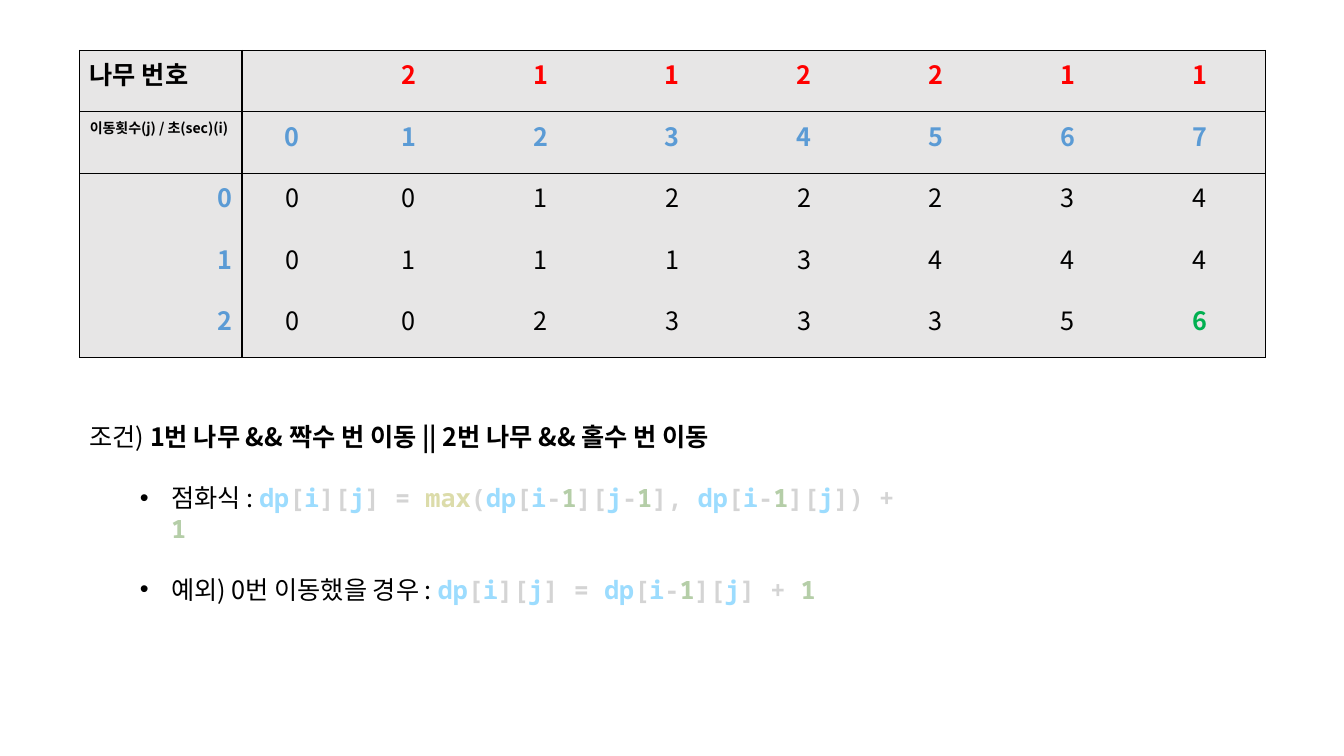
"""Build a slide with a dynamic-programming table and its recurrence rules."""
from itertools import groupby

from lxml.etree import SubElement
from pptx import Presentation
from pptx.dml.color import RGBColor as RGB
from pptx.enum.text import MSO_AUTO_SIZE as AutoSize, PP_ALIGN as Align
from pptx.oxml.ns import qn
from pptx.util import Inches, Pt

TREE_LABEL = "나무 번호"
AXIS_LABEL = "이동횟수(j) / 초(sec)(i)"
TREES = ["", 2, 1, 1, 2, 2, 1, 1]
SECONDS = list(range(8))
PLUMS = [
    [0, 0, 1, 2, 2, 2, 3, 4],
    [0, 1, 1, 1, 3, 4, 4, 4],
    [0, 0, 2, 3, 3, 3, 5, 6],
]
CONDITION = ("조건) ", "1번 나무 && 짝수 번 이동 || 2번 나무 && 홀수 번 이동")
RULES = [
    ("점화식 : ", "dp[i][j] = max(dp[i-1][j-1], dp[i-1][j]) + 1"),
    ("예외) 0번 이동했을 경우 : ", "dp[i][j] = dp[i-1][j] + 1"),
]

BLACK, RED, BLUE = RGB(0, 0, 0), RGB(255, 0, 0), RGB(0x5B, 0x9B, 0xD5)
GREEN, GREY = RGB(0, 0xB0, 0x50), RGB(0xE7, 0xE6, 0xE6)
NAME, FUNCTION = RGB(0x9C, 0xDC, 0xFE), RGB(0xDC, 0xDC, 0xAA)
NUMBER, SYMBOL = RGB(0xB5, 0xCE, 0xA8), RGB(0xD4, 0xD4, 0xD4)
SANS, MONO = "Noto Sans CJK KR", "Noto Sans Mono"

LEFT, TABLE_TOP, TABLE_WIDTH, ROW_HEIGHT = 0.79, 0.5, 11.76, 0.61
LABEL_WIDTH, START_WIDTH = 1.61, 1
RULES_TOP, RULES_WIDTH, RULES_HEIGHT = 4.13, 8.43, 1.92
LINE = Pt(21.8)


def style(run, color=BLACK, bold=False, size=18, face=SANS):
    run.font.size, run.font.bold, run.font.name = Pt(size), bold, face
    run.font.color.rgb = color
    SubElement(run.font._element, qn("a:ea"), typeface=face)


def add_styled(paragraph, text, **look):
    run = paragraph.add_run()
    run.text = text
    style(run, **look)


def add_code(paragraph, code):
    for is_word, letters in groupby(code, str.isalnum):
        token = "".join(letters)
        if not is_word:
            color = SYMBOL
        elif token.isdigit():
            color = NUMBER
        else:
            color = FUNCTION if token == "max" else NAME
        add_styled(paragraph, token, color=color, bold=True, face=MONO)


def set_borders(cell, sides):
    props = cell._tc.get_or_add_tcPr()
    for side in "LRTB":
        edge = SubElement(props, qn("a:ln" + side), w=str(Pt(1)))
        if side in sides:
            fill = SubElement(edge, qn("a:solidFill"))
            SubElement(fill, qn("a:srgbClr"), val=str(BLACK))
        else:
            SubElement(edge, qn("a:noFill"))


def cell_look(row, col, last_row, last_col):
    if row < 2:
        if col == 0:
            return Align.LEFT, dict(bold=True, size=10 if row else 18)
        return Align.CENTER, dict(bold=True, color=BLUE if row else RED)
    if col == 0:
        return Align.RIGHT, dict(bold=True, color=BLUE)
    if (row, col) == (last_row, last_col):
        return Align.CENTER, dict(bold=True, color=GREEN)
    return Align.CENTER, {}


def cell_sides(row, col, last_row, last_col):
    rules = {
        "L": col < 2,
        "R": col in (0, last_col),
        "T": row < 3,
        "B": row < 2 or row == last_row,
    }
    return [side for side, drawn in rules.items() if drawn]


def add_plum_table(slide):
    grid = [[TREE_LABEL, *TREES], [AXIS_LABEL, *SECONDS]]
    grid += [[moves, *counts] for moves, counts in enumerate(PLUMS)]
    rows, cols = len(grid), len(grid[0])
    table = slide.shapes.add_table(
        rows, cols, Inches(LEFT), Inches(TABLE_TOP),
        Inches(TABLE_WIDTH), Inches(ROW_HEIGHT * rows)).table
    table.first_row = table.horz_banding = False
    second_width = (TABLE_WIDTH - LABEL_WIDTH - START_WIDTH) / (cols - 2)
    widths = [LABEL_WIDTH, START_WIDTH] + [second_width] * (cols - 2)
    for column, width in zip(table.columns, widths):
        column.width = Inches(width)
    for row, values in enumerate(grid):
        for col, value in enumerate(values):
            place = row, col, rows - 1, cols - 1
            cell = table.cell(row, col)
            set_borders(cell, cell_sides(*place))
            cell.fill.solid()
            cell.fill.fore_color.rgb = GREY
            cell.text_frame.text = str(value)
            paragraph = cell.text_frame.paragraphs[0]
            paragraph.alignment, look = cell_look(*place)
            for run in paragraph.runs:
                style(run, **look)


def add_rules(slide):
    frame = slide.shapes.add_textbox(
        Inches(LEFT), Inches(RULES_TOP),
        Inches(RULES_WIDTH), Inches(RULES_HEIGHT)).text_frame
    frame.word_wrap = True
    frame.auto_size = AutoSize.SHAPE_TO_FIT_TEXT
    condition = frame.paragraphs[0]
    condition.line_spacing = LINE
    label, clause = CONDITION
    add_styled(condition, label)
    add_styled(condition, clause, bold=True)
    for label, code in RULES:
        rule = frame.add_paragraph()
        rule.level = 1
        rule.line_spacing = rule.space_before = LINE
        props = rule._p.get_or_add_pPr()
        props.set("marL", str(Inches(0.81)))
        props.set("indent", str(Inches(-0.31)))
        SubElement(props, qn("a:buFont"), typeface="Arial")
        SubElement(props, qn("a:buChar"), char="•")
        add_styled(rule, label)
        add_code(rule, code)


def main():
    deck = Presentation()
    deck.slide_width, deck.slide_height = Inches(13.33), Inches(7.5)
    slide = deck.slides.add_slide(deck.slide_layouts[6])
    add_plum_table(slide)
    add_rules(slide)
    deck.save("out.pptx")


if __name__ == "__main__":
    main()
